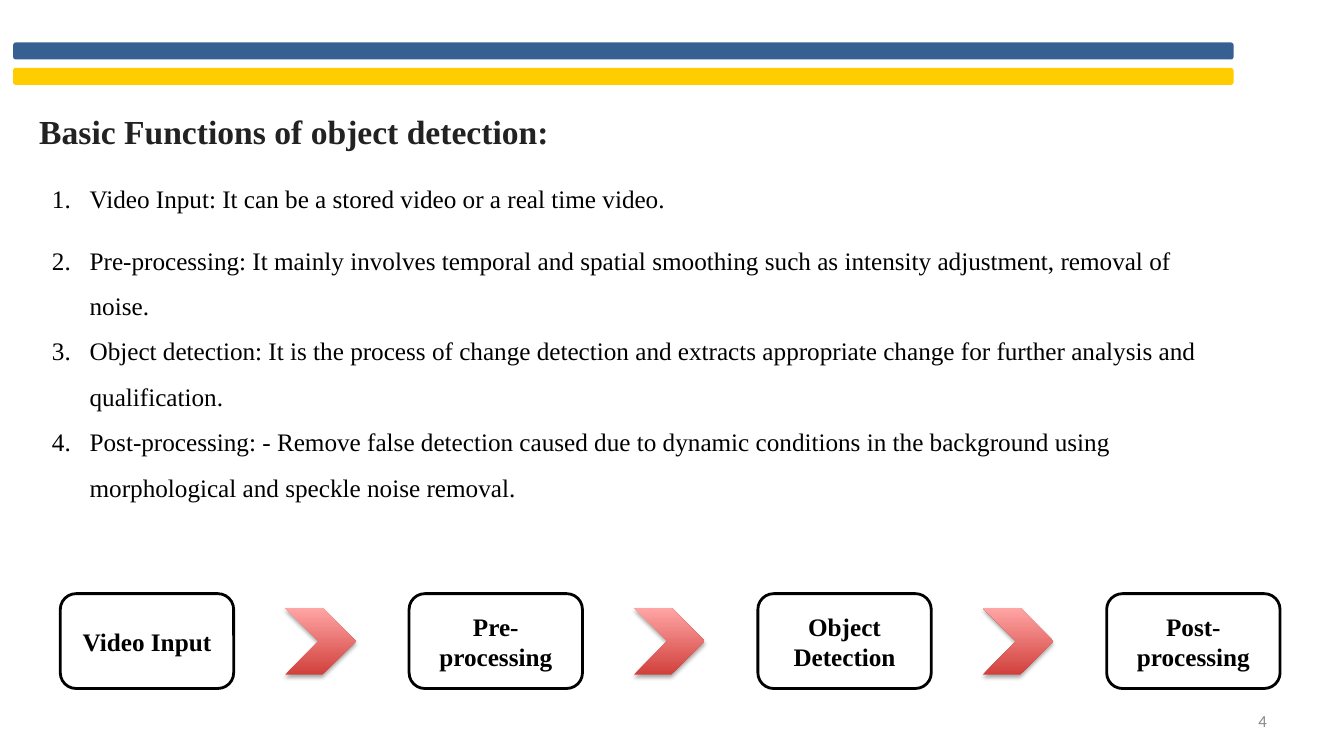
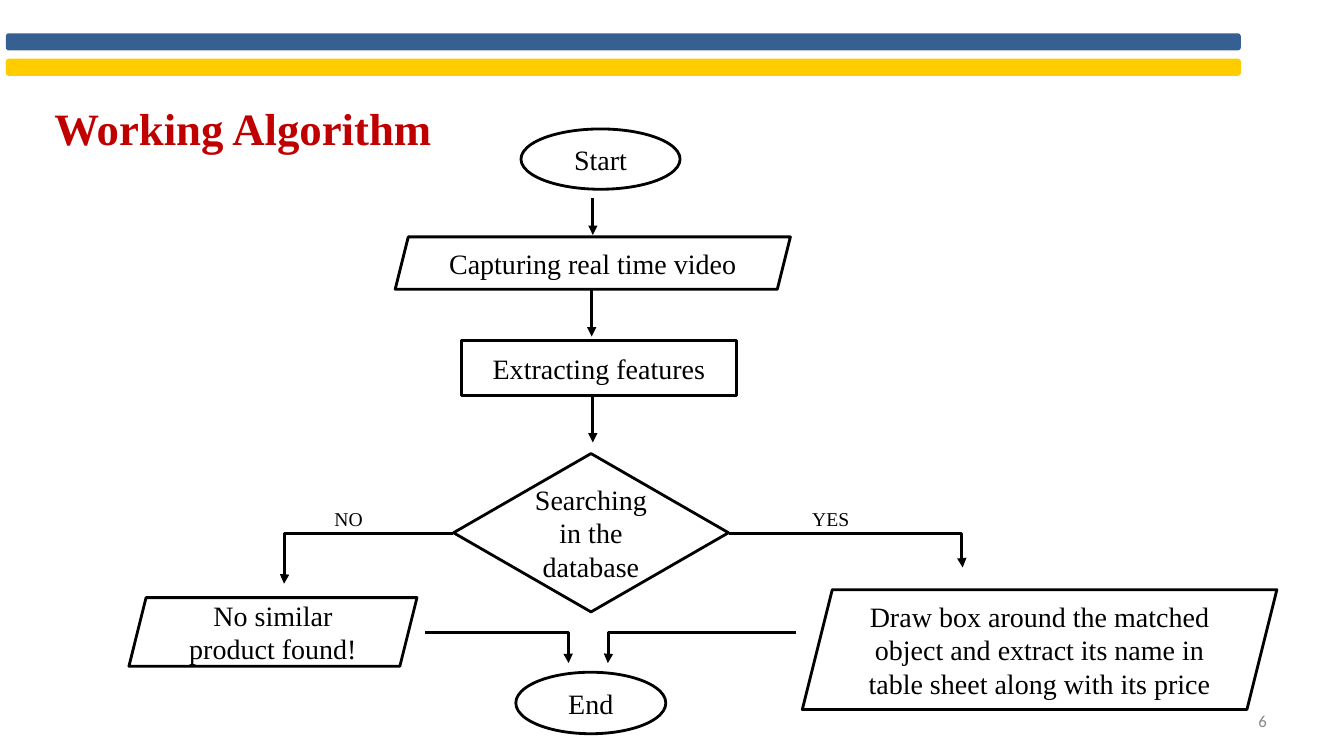
from dataclasses import dataclass

from lxml import etree
from pptx import Presentation
from pptx.dml.color import RGBColor
from pptx.enum import shapes, text
from pptx.oxml import ns
from pptx.util import Cm, Pt


@dataclass(frozen=True)
class Theme:
    font: str = "Times New Roman"
    number_font: str = "Calibri"
    blue: str = "366092"
    yellow: str = "FFCC00"
    red: str = "C00000"
    dark: str = "222222"
    black: str = "000000"
    white: str = "FFFFFF"
    grey: str = "888888"
    chevron: tuple = ("D1403C", "FFA6A5")
    title: int = 32
    heading: int = 24
    node: int = 20
    body: int = 18
    label: int = 14
    number: int = 12


T = Theme()
KIND = shapes.MSO_SHAPE
ALIGN = text.PP_ALIGN
MIDDLE = text.MSO_ANCHOR.MIDDLE


def write(sp, words, size=T.body, color=T.black, font=T.font, bold=False,
          align=ALIGN.LEFT, anchor=text.MSO_ANCHOR.TOP, numbered=False,
          spacing=None, before=None, new=False):
    """Write one paragraph into a shape; new=True adds it after the others."""
    tf = sp.text_frame
    tf.word_wrap, tf.vertical_anchor = True, anchor
    p = tf.add_paragraph() if new else tf.paragraphs[0]
    if numbered:
        pPr = p._p.get_or_add_pPr()
        pPr.set("marL", str(Cm(1.27)))
        pPr.set("indent", str(-Cm(0.95)))
        etree.SubElement(pPr, ns.qn("a:buFont"), typeface=font)
        etree.SubElement(pPr, ns.qn("a:buAutoNum"), type="arabicPeriod")
    p.alignment = align
    if spacing:
        p.line_spacing = spacing
    if before:
        p.space_before = Pt(before)
    r = p.add_run()
    r.text = words
    r.font.name, r.font.size, r.font.bold = font, Pt(size), bold
    r.font.color.rgb = RGBColor.from_string(color)


def draw(s, kind, x, y, w, h, fill=None, line=None):
    """Add a preset shape, placed in centimetres."""
    sp = s.shapes.add_shape(kind, Cm(x), Cm(y), Cm(w), Cm(h))
    sp.shadow.inherit = False
    if fill:
        sp.fill.solid()
        sp.fill.fore_color.rgb = RGBColor.from_string(fill)
    else:
        sp.fill.background()
    if line:
        sp.line.color.rgb = RGBColor.from_string(line)
        sp.line.width = Pt(2)
    else:
        sp.line.fill.background()
    return sp


prs = Presentation()
prs.slide_width, prs.slide_height = Cm(33.87), Cm(19.05)

# Slides with their bands and page numbers
pages = []
for number, x, y, w in [("4", 0.33, 1.07, 30.76), ("6", 0.15, 0.84, 31.12)]:
    s = prs.slides.add_slide(prs.slide_layouts[6])
    pages.append(s)
    for i, color in enumerate((T.blue, T.yellow)):
        draw(s, KIND.ROUNDED_RECTANGLE, x, y + i * 0.64, w, 0.43, fill=color)
    sp = s.shapes.add_textbox(Cm(24.28), Cm(17.65), Cm(7.9), Cm(1.02))
    write(sp, number, size=T.number, color=T.grey, font=T.number_font,
          align=ALIGN.RIGHT, anchor=MIDDLE)
functions, algorithm = pages

# Basic functions: heading and numbered list
sp = functions.shapes.add_textbox(Cm(0.74), Cm(2.54), Cm(30.35), Cm(10.46))
tf = sp.text_frame
tf.margin_left = tf.margin_right = tf.margin_top = tf.margin_bottom = Cm(0.25)
write(sp, "Basic Functions of object detection:", size=T.heading,
      color=T.dark, bold=True)
for words, before in [
    ("Video Input: It can be a stored video or a real time video.", 12),
    ("Pre-processing: It mainly involves temporal and spatial smoothing such "
     "as intensity adjustment, removal of noise.", 12),
    ("Object detection: It is the process of change detection and extracts "
     "appropriate change for further analysis and qualification.", None),
    ("Post-processing: - Remove false detection caused due to dynamic "
     "conditions in the background using morphological and speckle noise "
     "removal.", None),
]:
    write(sp, words, numbered=True, spacing=1.5, before=before, new=True)

# Basic functions: process row, a chevron between each two steps
steps = ["Video Input", "Pre-processing", "Object Detection", "Post-processing"]
for i, step in enumerate(steps):
    x = 1.52 + i * 8.79
    sp = draw(functions, KIND.ROUNDED_RECTANGLE, x, 14.96, 4.37, 2.39,
              fill=T.white, line=T.black)
    write(sp, step, bold=True, align=ALIGN.CENTER, anchor=MIDDLE)
    if i == len(steps) - 1:
        continue
    sp = draw(functions, KIND.CHEVRON, x + 5.67, 15.32, 1.78, 1.68)
    sp.fill.gradient()
    sp.fill.gradient_angle = 90
    for stop, color in zip(sp.fill.gradient_stops, T.chevron):
        stop.color.rgb = RGBColor.from_string(color)
    effects = sp._element.spPr.find(ns.qn("a:effectLst"))
    shadow = etree.SubElement(effects, ns.qn("a:outerShdw"),
                              blurRad=str(Pt(3.1)), dist=str(Pt(1.8)),
                              dir="5400000", rotWithShape="0")
    clr = etree.SubElement(shadow, ns.qn("a:srgbClr"), val=T.black)
    etree.SubElement(clr, ns.qn("a:alpha"), val="35000")

# Working algorithm: title
sp = algorithm.shapes.add_textbox(Cm(1.12), Cm(2.41), Cm(16.92), Cm(1.6))
write(sp, "Working Algorithm", size=T.title, color=T.red, bold=True)

# Working algorithm: flowchart nodes
for kind, x, y, w, h, words in [
    (KIND.OVAL, 13.13, 3.25, 4.01, 1.52, "Start"),
    (KIND.PARALLELOGRAM, 9.96, 5.97, 9.96, 1.32, "Capturing real time video"),
    (KIND.RECTANGLE, 11.63, 8.59, 6.93, 1.37, "Extracting features"),
    (KIND.DIAMOND, 11.43, 11.43, 6.93, 3.99, "Searching in the database"),
    (KIND.PARALLELOGRAM, 3.25, 15.06, 7.26, 1.73, "No similar product found!"),
    (KIND.PARALLELOGRAM, 20.22, 14.86, 11.96, 3.02,
     "Draw box around the matched object and extract its name in table sheet "
     "along with its price"),
    (KIND.OVAL, 13, 16.94, 3.78, 1.55, "End"),
]:
    sp = draw(algorithm, kind, x, y, w, h, line=T.black)
    write(sp, words, size=T.node, align=ALIGN.CENTER, anchor=MIDDLE)

# Working algorithm: arrows; those that also move sideways bend at the far end
for x1, y1, x2, y2 in [
    (14.94, 5, 14.94, 5.92),
    (14.91, 7.29, 14.91, 8.48),
    (14.94, 9.96, 14.94, 11.15),
    (11.43, 13.44, 7.16, 14.71),
    (18.36, 13.44, 24.26, 14.3),
    (10.72, 15.93, 14.33, 16.71),
    (20.07, 15.93, 15.32, 16.71),
]:
    bent = x1 != x2
    kind = shapes.MSO_CONNECTOR.ELBOW if bent else shapes.MSO_CONNECTOR.STRAIGHT
    cx = algorithm.shapes.add_connector(kind, Cm(x1), Cm(y1), Cm(x2), Cm(y2))
    cx.line.color.rgb = RGBColor.from_string(T.black)
    cx.line.width = Pt(2.25)
    etree.SubElement(cx.line._get_or_add_ln(), ns.qn("a:tailEnd"),
                     type="triangle")
    spPr = cx._element.spPr
    etree.SubElement(spPr, ns.qn("a:effectLst"))
    if bent:
        guides = spPr.find(ns.qn("a:prstGeom")).get_or_add_avLst()
        etree.SubElement(guides, ns.qn("a:gd"), name="adj1", fmla="val 99700")

# Working algorithm: branch labels
for x, w, words in [(8.18, 1.4, "NO"), (20.22, 1.68, "YES")]:
    sp = algorithm.shapes.add_textbox(Cm(x), Cm(12.65), Cm(w), Cm(0.86))
    write(sp, words, size=T.label)

prs.save("out.pptx")
